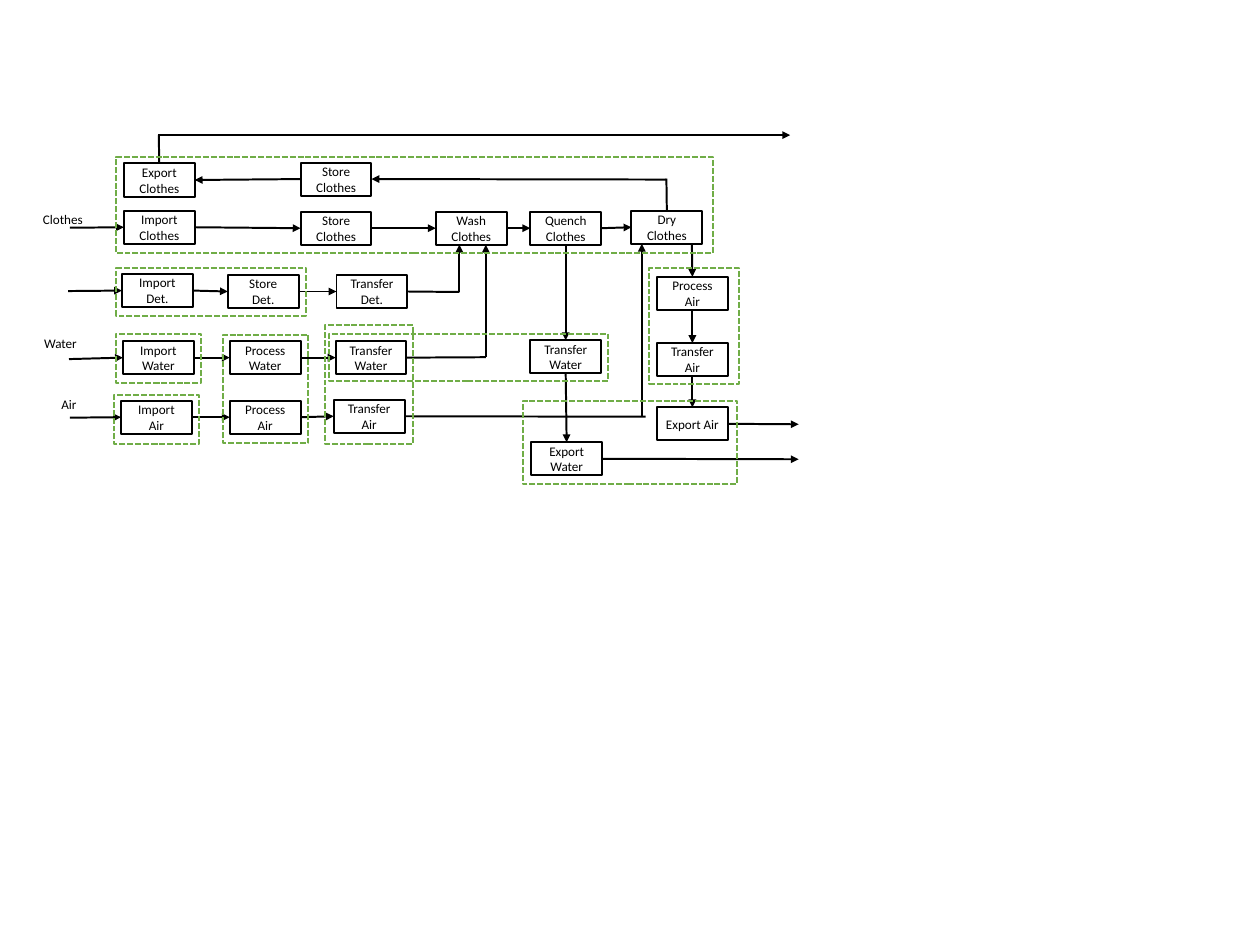
"""Build a function structure diagram of a washing and drying machine."""
from lxml.etree import SubElement
from pptx import Presentation
from pptx.dml.color import RGBColor
from pptx.enum.dml import MSO_LINE
from pptx.enum.shapes import MSO_CONNECTOR, MSO_SHAPE
from pptx.enum.text import MSO_ANCHOR, MSO_AUTO_SIZE, PP_ALIGN
from pptx.oxml.ns import qn
from pptx.util import Inches, Pt

BLACK = "000000"
GREEN = "70AD47"
BOX_WIDTH, BOX_HEIGHT = 0.75, 0.35
TOP, LEFT, BOTTOM, RIGHT = range(4)


def color(hex_string):
    return RGBColor.from_string(hex_string)


def write_lines(frame, text):
    for index, line in enumerate(text.split("\n")):
        para = frame.paragraphs[0] if index == 0 else frame.add_paragraph()
        para.alignment = PP_ALIGN.CENTER
        span = para.add_run()
        span.text = line
        span.font.name = "Calibri"
        span.font.size = Pt(10)
        span.font.color.rgb = color(BLACK)


deck = Presentation()
deck.slide_width, deck.slide_height = Inches(13.33), Inches(10)
page = deck.slides.add_slide(deck.slide_layouts[6])

functions = {
    "export clothes": ("Export\nClothes", 1.31, 1.73),
    "store clean": ("Store\nClothes", 3.18, 1.72),
    "import clothes": ("Import\nClothes", 1.31, 2.23),
    "store dirty": ("Store\nClothes", 3.18, 2.24),
    "wash": ("Wash\nClothes", 4.61, 2.24),
    "quench": ("Quench\nClothes", 5.61, 2.24),
    "dry": ("Dry\nClothes", 6.68, 2.23),
    "import det": ("Import\nDet.", 1.29, 2.9),
    "store det": ("Store\nDet.", 2.41, 2.91),
    "transfer det": ("Transfer\nDet.", 3.56, 2.91),
    "import water": ("Import\nWater", 1.3, 3.61),
    "process water": ("Process\nWater", 2.43, 3.61),
    "transfer water": ("Transfer\nWater", 3.55, 3.61),
    "drain water": ("Transfer Water", 5.61, 3.6),
    "export water": ("Export\nWater", 5.62, 4.68),
    "import air": ("Import\nAir", 1.28, 4.24),
    "process air": ("Process\nAir", 2.43, 4.24),
    "transfer air": ("Transfer\nAir", 3.53, 4.23),
    "process exhaust": ("Process\nAir", 6.95, 2.93),
    "transfer exhaust": ("Transfer\nAir", 6.95, 3.63),
    "export air": ("Export Air", 6.95, 4.31),
}
boxes = {}
for name, (text, left, top) in functions.items():
    box = page.shapes.add_shape(
        MSO_SHAPE.RECTANGLE, Inches(left), Inches(top), Inches(BOX_WIDTH), Inches(BOX_HEIGHT)
    )
    box.shadow.inherit = False
    box.fill.background()
    box.line.color.rgb = color(BLACK)
    box.line.width = Pt(1.5)
    frame = box.text_frame
    frame.word_wrap = True
    frame.vertical_anchor = MSO_ANCHOR.MIDDLE
    frame.margin_left = frame.margin_right = Inches(0.03)
    frame.margin_top = frame.margin_bottom = Inches(0.03)
    write_lines(frame, text)
    boxes[name] = box

flow_labels = [
    ("Clothes ", 0.35, 2.19, 0.66),
    ("Water", 0.36, 3.5, 0.56),
    ("Air", 0.55, 4.15, 0.36),
]
for text, left, top, width in flow_labels:
    label = page.shapes.add_textbox(Inches(left), Inches(top), Inches(width), Inches(0.27))
    label.text_frame.word_wrap = False
    label.text_frame.auto_size = MSO_AUTO_SIZE.SHAPE_TO_FIT_TEXT
    write_lines(label.text_frame, text)

chains = [
    (["import clothes", "store dirty", "wash", "quench", "dry"], RIGHT, LEFT),
    (["store clean", "export clothes"], LEFT, RIGHT),
    (["import det", "store det", "transfer det"], RIGHT, LEFT),
    (["import water", "process water", "transfer water"], RIGHT, LEFT),
    (["import air", "process air", "transfer air"], RIGHT, LEFT),
    (["quench", "drain water", "export water"], BOTTOM, TOP),
    (["process exhaust", "transfer exhaust", "export air"], BOTTOM, TOP),
]
arrows = [
    ((first, exit_side), (second, entry_side))
    for chain, exit_side, entry_side in chains
    for first, second in zip(chain, chain[1:])
]
arrows += [
    ((0.74, 2.41), ("import clothes", LEFT)),
    ((0.72, 3.08), ("import det", LEFT)),
    ((0.73, 3.8), ("import water", LEFT)),
    ((0.74, 4.42), ("import air", LEFT)),
    ((1.67, 1.43), (8.36, 1.43)),
    ((7.05, 1.9), ("store clean", RIGHT)),
    ((4.86, 3.09), (4.86, 2.59)),
    ((5.14, 3.78), (5.14, 2.59)),
    ((6.79, 4.41), (6.79, 2.58)),
    ((7.32, 2.58), ("process exhaust", TOP)),
    (("export air", RIGHT), (8.45, 4.49)),
    (("export water", RIGHT), (8.45, 4.86)),
]
plain_lines = [
    (("export clothes", TOP), (1.68, 1.43)),
    (("dry", TOP), (7.05, 1.89)),
    (("transfer det", RIGHT), (4.86, 3.09)),
    (("transfer water", RIGHT), (5.14, 3.78)),
    (("transfer air", RIGHT), (6.83, 4.41)),
]
for index, (start, end) in enumerate(arrows + plain_lines):
    start_point = (0, 0) if start[0] in boxes else start
    end_point = (0, 0) if end[0] in boxes else end
    connector = page.shapes.add_connector(
        MSO_CONNECTOR.STRAIGHT, *[Inches(value) for value in (*start_point, *end_point)]
    )
    if start[0] in boxes:
        connector.begin_connect(boxes[start[0]], start[1])
    if end[0] in boxes:
        connector.end_connect(boxes[end[0]], end[1])
    connector.line.color.rgb = color(BLACK)
    connector.line.width = Pt(1.5)
    if index < len(arrows):
        SubElement(connector.line._get_or_add_ln(), qn("a:tailEnd"), type="triangle")
    SubElement(connector._element.spPr, qn("a:effectLst"))

modules = [
    (1.23, 1.66, 6.31, 1.02),
    (1.23, 2.84, 2.01, 0.5),
    (1.23, 3.53, 0.9, 0.52),
    (1.21, 4.18, 0.9, 0.52),
    (2.36, 3.54, 0.9, 1.15),
    (3.44, 3.44, 0.93, 1.26),
    (3.48, 3.53, 2.95, 0.5),
    (6.87, 2.84, 0.95, 1.22),
    (5.53, 4.24, 2.27, 0.88),
]
for bounds in modules:
    module = page.shapes.add_shape(MSO_SHAPE.RECTANGLE, *[Inches(value) for value in bounds])
    module.shadow.inherit = False
    module.fill.background()
    module.line.color.rgb = color(GREEN)
    module.line.width = Pt(1.5)
    module.line.dash_style = MSO_LINE.SQUARE_DOT

deck.save("out.pptx")
